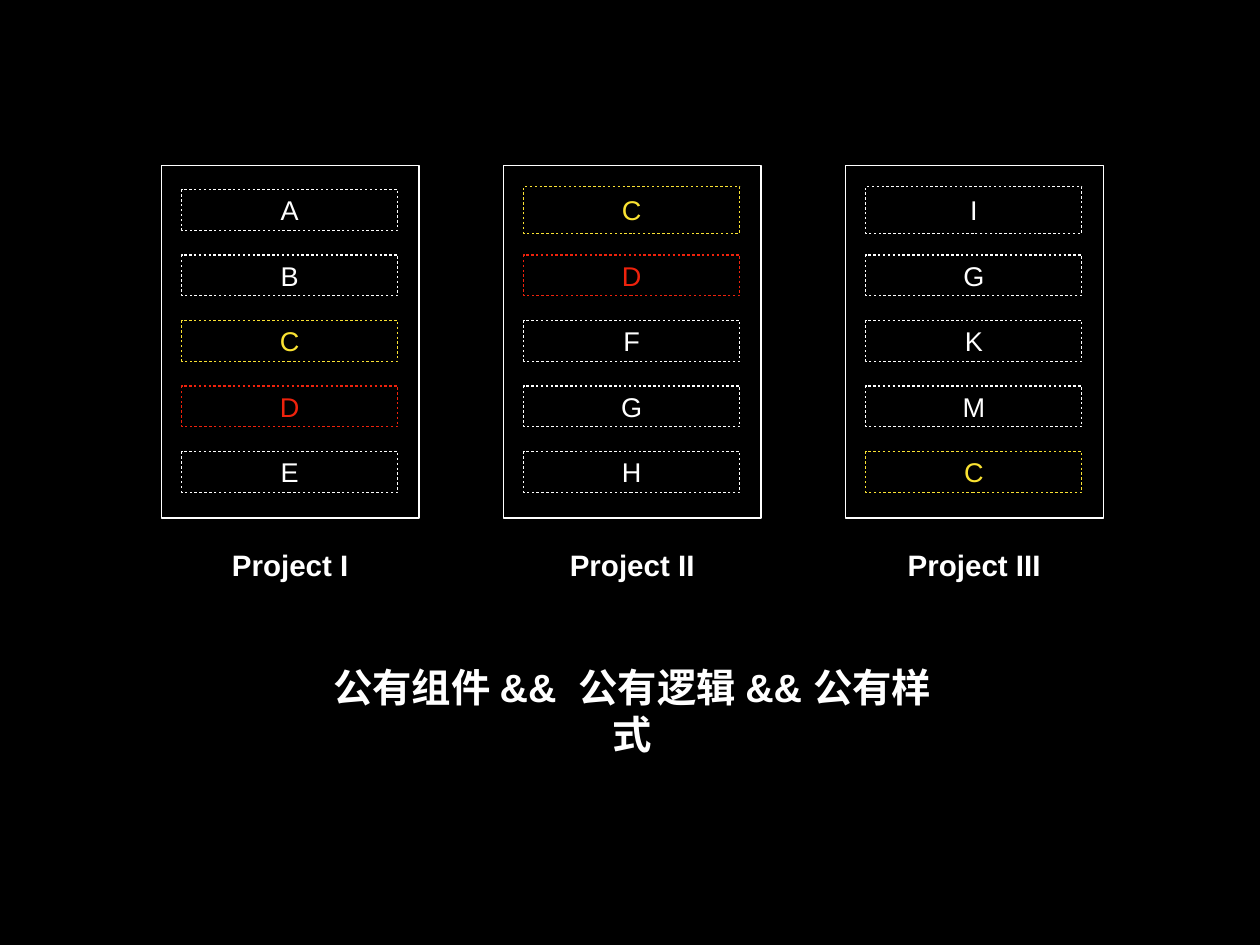
import dataclasses

import pptx
import pptx.dml.color
import pptx.enum.shapes
import pptx.enum.text
import pptx.oxml
import pptx.oxml.ns
import pptx.shapes.autoshape
import pptx.shapes.group
import pptx.slide
import pptx.util

Inches = pptx.util.Inches
RGBColor = pptx.dml.color.RGBColor

BLACK = RGBColor(0x00, 0x00, 0x00)
WHITE = RGBColor(0xFF, 0xFF, 0xFF)
YELLOW = RGBColor(0xFA, 0xE2, 0x32)
RED = RGBColor(0xEE, 0x22, 0x0C)
SHARED_COLORS = {"C": YELLOW, "D": RED}

PANEL_LEFT, PANEL_TOP = 1.82, 1.87
PANEL_WIDTH, PANEL_HEIGHT = 2.91, 3.98
PANEL_PITCH = 3.86
BLOCK_INSET, BLOCK_WIDTH, BLOCK_HEIGHT = 0.23, 2.44, 0.46
FIRST_BLOCK_CENTER, BLOCK_PITCH = 2.37, 0.74
LABEL_TOP, LABEL_HEIGHT = 6.13, 0.5


@dataclasses.dataclass(frozen=True)
class Project:
    name: str
    components: str
    first_height: float
    label_width: float


PROJECTS = [
    Project("Project I", "ABCDE", BLOCK_HEIGHT, 1.46),
    Project("Project II", "CDFGH", 0.53, 1.56),
    Project("Project III", "IGKMC", 0.53, 1.66),
]


def write_text(sp: pptx.shapes.autoshape.Shape, text: str, size: int,
               color: RGBColor, bold: bool = False, wrap: bool = True) -> None:
    tf = sp.text_frame
    tf.word_wrap = wrap
    tf.vertical_anchor = pptx.enum.text.MSO_ANCHOR.MIDDLE
    tf.margin_left = tf.margin_right = Inches(0.06)
    tf.margin_top = tf.margin_bottom = Inches(0.06)
    p = tf.paragraphs[0]
    p.alignment = pptx.enum.text.PP_ALIGN.CENTER
    r = p.add_run()
    r.text = text
    r.font.name = "Arial"
    r.font.size = pptx.util.Pt(size)
    r.font.bold = bold
    r.font.color.rgb = color


def add_outline(group: pptx.shapes.group.GroupShape, left: float, top: float,
                width: float, height: float,
                color: RGBColor) -> pptx.shapes.autoshape.Shape:
    sp = group.shapes.add_shape(
        pptx.enum.shapes.MSO_SHAPE.RECTANGLE,
        Inches(left), Inches(top), Inches(width), Inches(height))
    sp.shadow.inherit = False
    sp.fill.background()
    sp.line.color.rgb = color
    sp.line.width = pptx.util.Pt(1)
    return sp


def add_dots(sp: pptx.shapes.autoshape.Shape) -> None:
    ln = sp.element.spPr.find(pptx.oxml.ns.qn("a:ln"))
    ln.append(pptx.oxml.parse_xml(
        f'<a:custDash {pptx.oxml.ns.nsdecls("a")}>'
        '<a:ds d="200000" sp="200000"/></a:custDash>'))


def add_project(s: pptx.slide.Slide, project: Project, left: float) -> None:
    group = s.shapes.add_group_shape()
    add_outline(group, left, PANEL_TOP, PANEL_WIDTH, PANEL_HEIGHT, WHITE)
    for i, component in enumerate(project.components):
        height = BLOCK_HEIGHT if i else project.first_height
        top = FIRST_BLOCK_CENTER + i * BLOCK_PITCH - height / 2
        color = SHARED_COLORS.get(component, WHITE)
        sp = add_outline(group, left + BLOCK_INSET, top, BLOCK_WIDTH, height, color)
        add_dots(sp)
        write_text(sp, component, 22, color)
    label_left = left + (PANEL_WIDTH - project.label_width) / 2
    label = group.shapes.add_textbox(
        Inches(label_left), Inches(LABEL_TOP),
        Inches(project.label_width), Inches(LABEL_HEIGHT))
    write_text(label, project.name, 24, WHITE, bold=True, wrap=False)


def main() -> None:
    prs = pptx.Presentation()
    prs.slide_width = Inches(14.22)
    prs.slide_height = Inches(10.67)
    s = prs.slides.add_slide(prs.slide_layouts[6])
    s.background.fill.solid()
    s.background.fill.fore_color.rgb = BLACK
    for i, project in enumerate(PROJECTS):
        add_project(s, project, PANEL_LEFT + i * PANEL_PITCH)
    summary = s.shapes.add_textbox(
        Inches(3.49), Inches(7.65), Inches(7.29), Inches(0.74))
    write_text(summary, "公有组件 &&  公有逻辑 && 公有样式", 32, WHITE, bold=True)
    prs.save("out.pptx")


if __name__ == "__main__":
    main()
